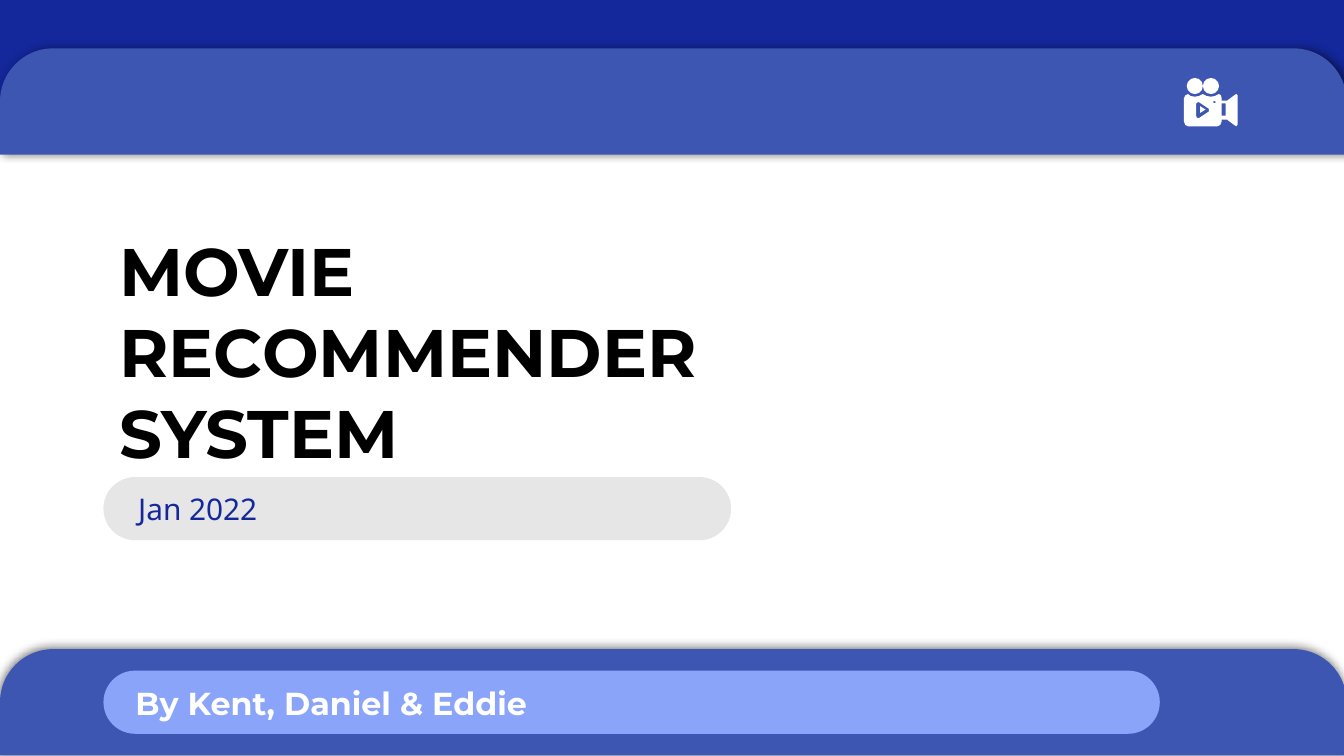
from dataclasses import dataclass

from lxml import etree
from pptx import Presentation
from pptx.dml.color import RGBColor
from pptx.enum.shapes import MSO_SHAPE
from pptx.enum.text import MSO_ANCHOR
from pptx.oxml.ns import qn
from pptx.util import Pt

RECT = MSO_SHAPE.RECTANGLE
TAB = MSO_SHAPE.ROUND_2_SAME_RECTANGLE
PILL = MSO_SHAPE.ROUNDED_RECTANGLE
OVAL = MSO_SHAPE.OVAL
TOP, BOTTOM = MSO_ANCHOR.TOP, MSO_ANCHOR.BOTTOM

PX = 4572  # EMU per px, 200 px to the inch
INSET = 20
COLORS = {
    "navy": "14279B",
    "blue": "3D56B2",
    "light_blue": "8AA4F9",
    "grey": "E6E6E6",
    "white": "FFFFFF",
    "black": "000000",
}


@dataclass
class Panel:
    kind: int
    box: tuple[int, int, int, int]
    color: str
    shadow_angle: int | None = None


@dataclass
class Label:
    lines: list[str]
    box: tuple[int, int, int, int]
    color: str
    font: dict
    anchor: int = TOP
    margin: int = 0
    first_line: int = 0


PANELS = [
    Panel(RECT, (0, -2, 2004, 204), "navy"),
    Panel(TAB, (0, 72, 2004, 158), "blue", 0),
    Panel(TAB, (0, 966, 2004, 158), "blue", 237),
    Panel(PILL, (154, 998, 1572, 94), "light_blue"),
    Panel(PILL, (154, 710, 934, 94), "grey"),
]

LABELS = [
    Label(["MOVIE ", "RECOMMENDER SYSTEM"], (158, 340, 962, 382), "black",
          {"name": "Montserrat", "size": Pt(36), "bold": True}, BOTTOM),
    Label(["By Kent, Daniel & Eddie"], (182, 998, 746, 94), "white",
          {"name": "Montserrat", "size": Pt(17), "bold": True}),
    Label(["Jan 2022"], (158, 710, 926, 108), "navy",
          {"name": "Noto Sans", "size": Pt(16), "bold": False},
          margin=100, first_line=-72),
]

# Camera: body outline, then its cut-outs (play window, lens slot, lamp)
CAMERA_BODY = [
    [(1768, 140), (1772, 143), (1778, 144), (1784, 143), (1790, 140),
     (1796, 143), (1802, 144), (1808, 143), (1814, 140), (1817, 142),
     (1818, 146), (1818, 150), (1826, 150), (1838, 141), (1840, 140),
     (1842, 142), (1842, 185), (1840, 188), (1838, 187), (1826, 178),
     (1818, 178), (1818, 181), (1816, 186), (1812, 188), (1768, 188),
     (1764, 186), (1762, 181), (1762, 146), (1764, 142)],
    [(1784, 152), (1799, 162), (1799, 166), (1784, 176), (1781, 175),
     (1780, 172), (1780, 155), (1781, 153)],
    [(1818, 154), (1824, 154), (1824, 172), (1818, 172)],
    [(1807, 150), (1810, 152), (1807, 154), (1805, 152)],
]
PLAY_MARK = [[(1786, 158), (1786, 168), (1794, 163)]]
REELS = [Panel(OVAL, (left, 116, 24, 24), "white") for left in (1766, 1790)]


def rgb(color: str) -> RGBColor:
    return RGBColor.from_string(COLORS[color])


def paint(shape, color: str) -> None:
    shape.shadow.inherit = False
    shape.fill.solid()
    shape.fill.fore_color.rgb = rgb(color)
    shape.line.fill.background()


def add_shadow(shape, angle: int) -> None:
    effects = shape._element.spPr.find(qn("a:effectLst"))
    shadow = etree.SubElement(effects, qn("a:outerShdw"), {
        "blurRad": str(Pt(4.5)), "dist": str(Pt(1.5)),
        "dir": str(angle * 60000), "algn": "bl", "rotWithShape": "0"})
    tint = etree.SubElement(shadow, qn("a:srgbClr"), val=COLORS["black"])
    etree.SubElement(tint, qn("a:alpha"), val="49000")


def draw_panel(slide, panel: Panel) -> None:
    shape = slide.shapes.add_shape(panel.kind, *(n * PX for n in panel.box))
    paint(shape, panel.color)
    if panel.kind in (TAB, PILL):
        shape.adjustments[0] = 0.5
    if panel.shadow_angle is not None:
        add_shadow(shape, panel.shadow_angle)


def draw_label(slide, label: Label) -> None:
    frame = slide.shapes.add_textbox(*(n * PX for n in label.box)).text_frame
    layout = {"word_wrap": True, "vertical_anchor": label.anchor}
    layout |= {f"margin_{side}": INSET * PX
               for side in ("left", "top", "right", "bottom")}
    for key, value in layout.items():
        setattr(frame, key, value)
    paragraph = frame.paragraphs[0]
    if label.margin:
        indents = paragraph._p.get_or_add_pPr()
        indents.set("marL", str(label.margin * PX))
        indents.set("indent", str(label.first_line * PX))
    for number, line in enumerate(label.lines):
        if number:
            paragraph.add_line_break()
        run = paragraph.add_run()
        run.text = line
        for key, value in label.font.items():
            setattr(run.font, key, value)
        run.font.color.rgb = rgb(label.color)
    # Line breaks take the size of the text around them
    paragraph.font.size = label.font["size"]
    for line_break in paragraph._p.findall(qn("a:br")):
        etree.SubElement(line_break, qn("a:rPr"),
                         sz=str(int(label.font["size"].pt * 100)))


def draw_outline(slide, contours: list, color: str) -> None:
    builder = slide.shapes.build_freeform(*contours[0][0], scale=PX)
    for number, contour in enumerate(contours):
        if number:
            builder.move_to(*contour[0])
        builder.add_line_segments(contour[1:], close=True)
    paint(builder.convert_to_shape(), color)


def main() -> None:
    prs = Presentation()
    prs.slide_width, prs.slide_height = 2000 * PX, 1125 * PX
    slide = prs.slides.add_slide(prs.slide_layouts[6])

    # Bands and pills
    for panel in PANELS:
        draw_panel(slide, panel)

    # Title, authors and date
    for label in LABELS:
        draw_label(slide, label)

    # Film camera
    draw_outline(slide, CAMERA_BODY, "white")
    draw_outline(slide, PLAY_MARK, "white")
    for reel in REELS:
        draw_panel(slide, reel)

    prs.save("out.pptx")


if __name__ == "__main__":
    main()
